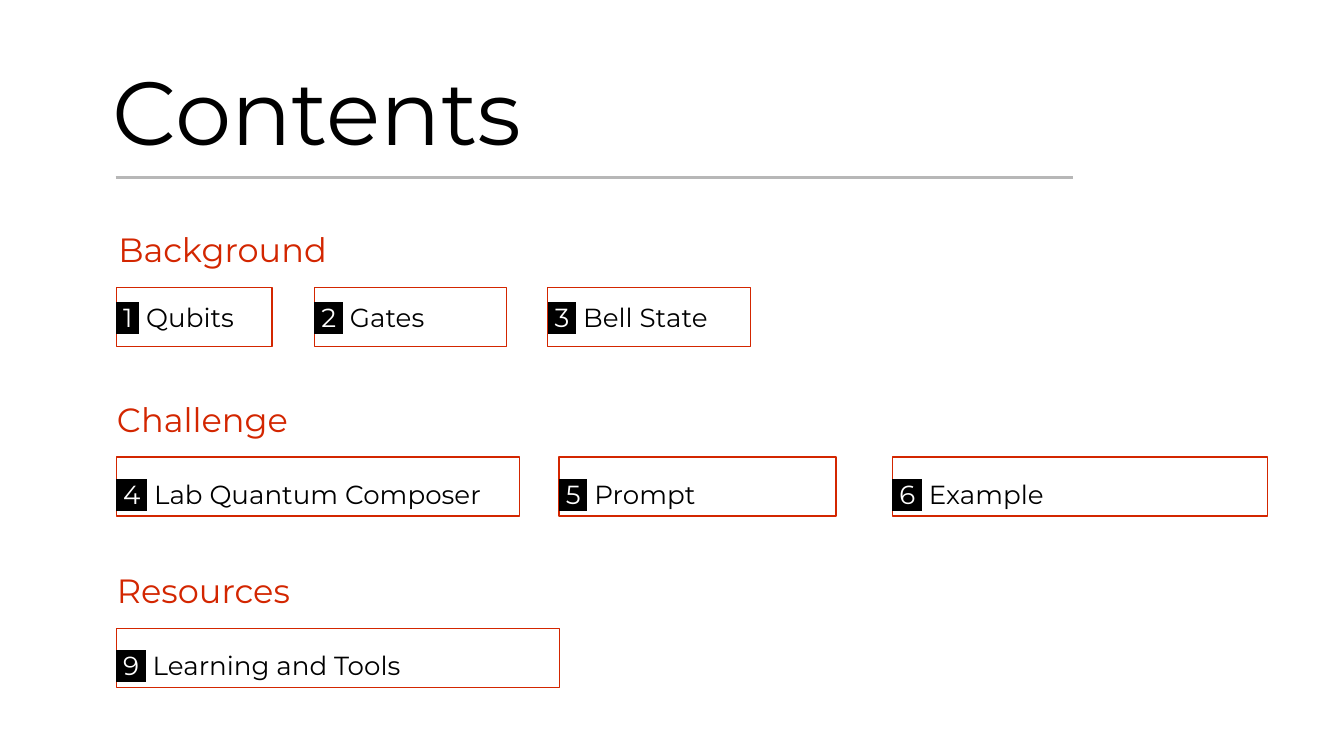
from lxml.etree import SubElement
from pptx import Presentation
from pptx.dml.color import RGBColor
from pptx.enum.shapes import MSO_CONNECTOR as Connector, MSO_SHAPE as Shape
from pptx.enum.text import MSO_ANCHOR as Anchor, MSO_AUTO_SIZE as AutoSize, PP_ALIGN as Align
from pptx.oxml import parse_xml
from pptx.oxml.ns import nsdecls, qn
from pptx.util import Pt

PX = 4572  # EMU per px, 200 px to the inch
THEME = {
    "font": "Montserrat",
    "black": "000000", "white": "FFFFFF", "red": "D32600", "gray": "B7B7B7",
    "title": 48, "heading": 18, "item": 14,
}


def px(*lengths):
    return [length * PX for length in lengths]


def write(shape, text, *, size, color, highlight=None, insets=(0, 0, 20, 20), spacing=1.0):
    """Append a run to the shape's first paragraph and set its frame."""
    frame = shape.text_frame
    frame.word_wrap = True
    frame.auto_size = AutoSize.NONE
    frame.vertical_anchor = Anchor.TOP
    frame.margin_left, frame.margin_top, frame.margin_right, frame.margin_bottom = px(*insets)
    paragraph = frame.paragraphs[0]
    paragraph.alignment = Align.LEFT
    paragraph.line_spacing = spacing
    run = paragraph.add_run()
    run.text = text
    run.font.name = THEME["font"]
    run.font.size = Pt(THEME[size])
    run.font.color.rgb = RGBColor.from_string(THEME[color])
    if highlight:
        run.font._element.find(qn("a:solidFill")).addnext(parse_xml(
            f'<a:highlight {nsdecls("a")}><a:srgbClr val="{THEME[highlight]}"/></a:highlight>'))


presentation = Presentation()
presentation.slide_width, presentation.slide_height = px(2000, 1125)
slide = presentation.slides.add_slide(presentation.slide_layouts[6])
shapes = slide.shapes

title = shapes.add_textbox(*px(148, 64, 1444, 228))
write(title, "Contents", size="title", color="black", insets=(20, 20, 20, 20))

rule = shapes.add_connector(Connector.STRAIGHT, *px(172, 264, 1596, 264))
rule.line.color.rgb = RGBColor.from_string(THEME["gray"])
rule.line.width = Pt(1.5)
SubElement(rule._element.spPr, qn("a:effectLst"))

# heading, its left, top and height, top of its items, line spacing,
# items as (number, label, left, width)
sections = [
    ("Background", 176, 340, 142, 428, 1.0, [
        (1, "Qubits", 173, 232), (2, "Gates", 468, 286), (3, "Bell State", 815, 302)]),
    ("Challenge", 174, 594, 80, 680, 1.25, [
        (4, "Lab Quantum Composer", 173, 600), (5, "Prompt", 832, 412), (6, "Example", 1328, 558)]),
    ("Resources", 174, 848, 80, 935, 1.25, [
        (9, "Learning and Tools", 173, 660)]),
]
for heading, heading_left, heading_top, heading_height, item_top, spacing, items in sections:
    heading_box = shapes.add_textbox(*px(heading_left, heading_top, 1156, heading_height))
    write(heading_box, heading, size="heading", color="red")
    for number, label, left, width in items:
        item = shapes.add_shape(Shape.RECTANGLE, *px(left, item_top, width, 88))
        item.shadow.inherit = False
        item.fill.background()
        item.line.color.rgb = RGBColor.from_string(THEME["red"])
        item.line.width = Pt(0.75)
        layout = {"size": "item", "insets": (0, 20, 20, 20), "spacing": spacing}
        write(item, f" {number} ", color="white", highlight="black", **layout)
        write(item, f" {label}", color="black", **layout)

presentation.save("out.pptx")
